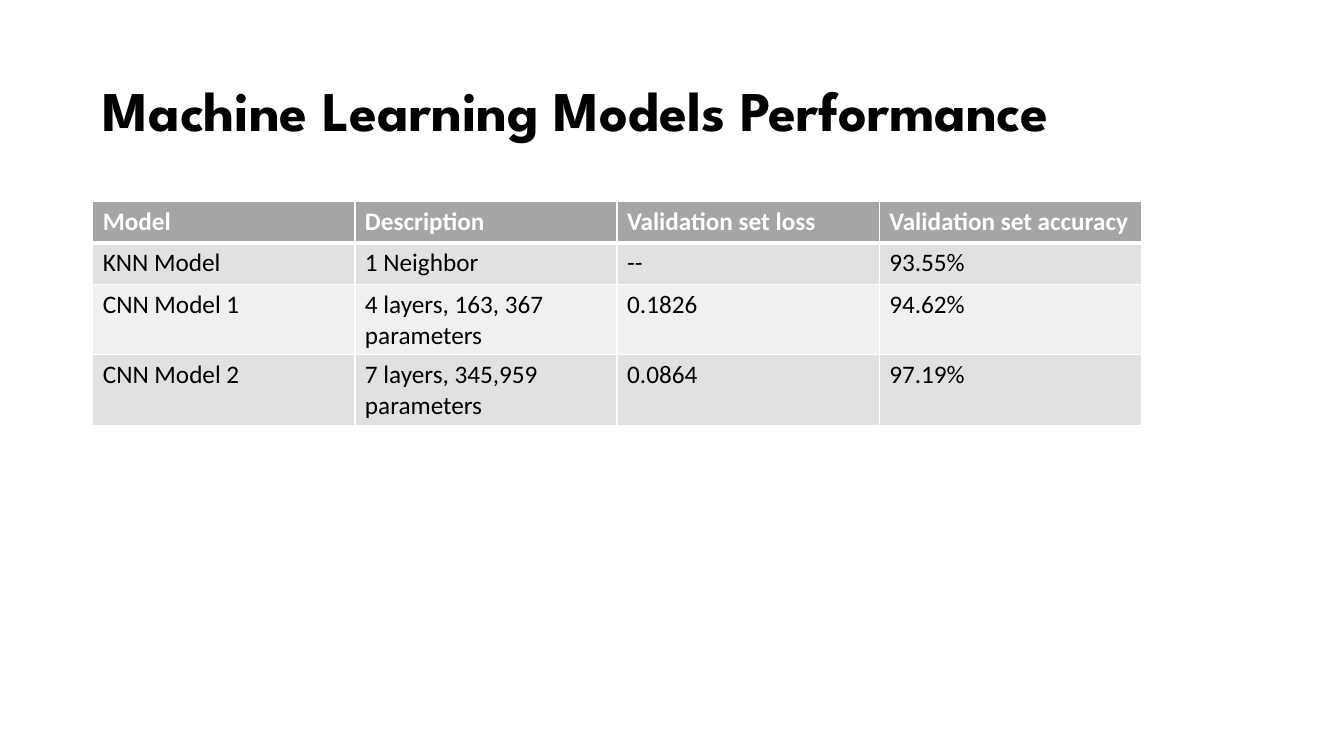
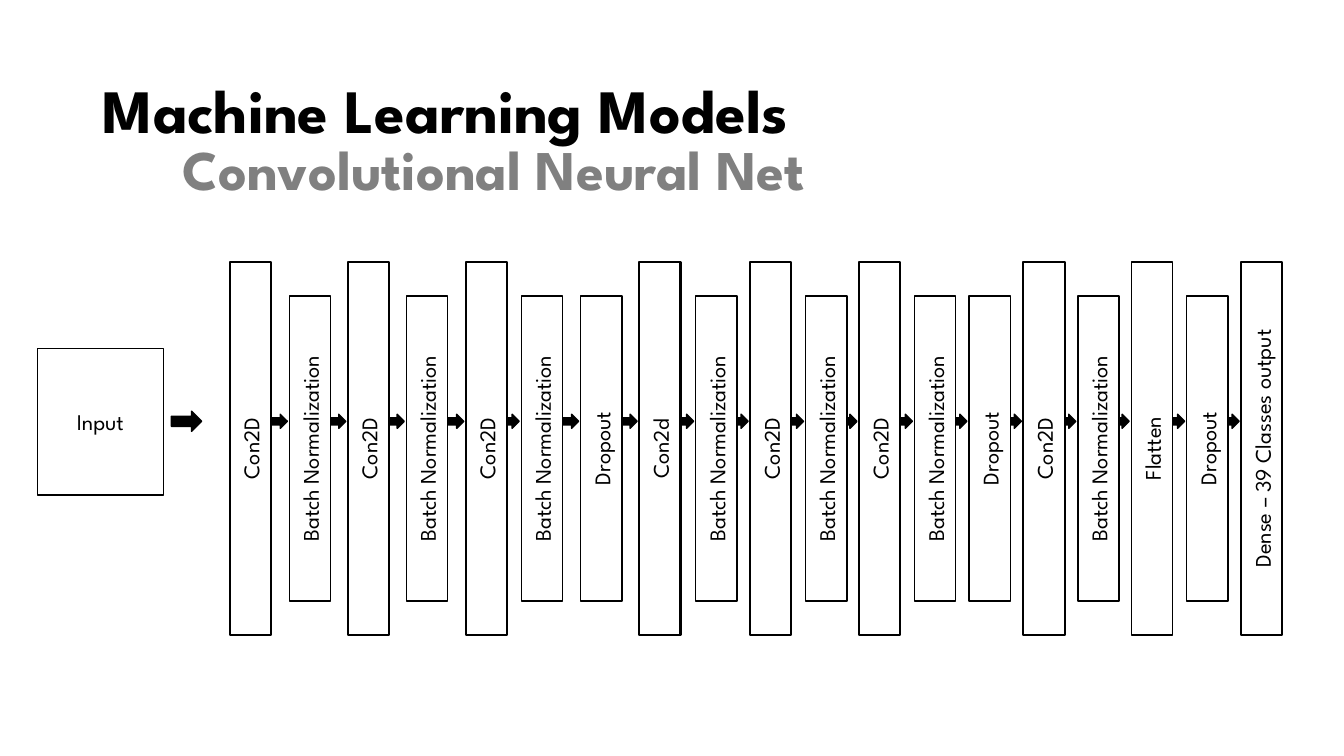
"""Build two slides on machine learning models: a results table and a network diagram."""
import pptx
import pptx.dml.color
import pptx.enum.shapes
import pptx.enum.text
import pptx.oxml
import pptx.oxml.ns
import pptx.util

Inches = pptx.util.Inches
Pt = pptx.util.Pt
SHAPES = pptx.enum.shapes.MSO_SHAPE
ANCHOR = pptx.enum.text.MSO_ANCHOR
ALIGN = pptx.enum.text.PP_ALIGN

BLACK, WHITE, GRAY = "000000", "FFFFFF", "808080"
HEADER_FILL, ROW_FILLS = "A5A5A5", ["E1E1E1", "F0F0F0"]
DISPLAY_FONT, TABLE_FONT = "League Spartan", "Calibri"


def color(value):
    return pptx.dml.color.RGBColor.from_string(value)


def write(frame, text, size=16, font=DISPLAY_FONT, ink=BLACK, bold=False,
          align=ALIGN.LEFT, anchor=ANCHOR.TOP, wrap=True, spacing=None):
    frame.word_wrap = wrap
    frame.vertical_anchor = anchor
    para = frame.paragraphs[0]
    para.alignment = align
    para.line_spacing = spacing
    span = para.add_run()
    span.text = text
    span.font.size = Pt(size)
    span.font.name = font
    span.font.bold = bold
    span.font.color.rgb = color(ink)


deck = pptx.Presentation()
deck.slide_width = Inches(13.33)
deck.slide_height = Inches(7.5)

pages = []
for title, size in [("Machine Learning Models Performance", 40), ("Machine Learning Models", 44)]:
    page = deck.slides.add_slide(deck.slide_layouts[6])
    box = page.shapes.add_textbox(Inches(0.92), Inches(0.4), Inches(11.5), Inches(1.45))
    write(box.text_frame, title, size=size, bold=True, anchor=ANCHOR.MIDDLE, spacing=0.9)
    pages.append(page)
results_page, network_page = pages

results = [
    ["Model", "Description", "Validation set loss", "Validation set accuracy"],
    ["KNN Model", "1 Neighbor", "--", "93.55%"],
    ["CNN Model 1", "4 layers, 163, 367 parameters", "0.1826", "94.62%"],
    ["CNN Model 2", "7 layers, 345,959 parameters", "0.0864", "97.19%"],
]
row_heights = [0.41, 0.41, 0.7, 0.7]
table = results_page.shapes.add_table(
    len(results), len(results[0]), Inches(0.92), Inches(2),
    Inches(10.4), Inches(sum(row_heights))).table
for row_index, values in enumerate(results):
    table.rows[row_index].height = Inches(row_heights[row_index])
    header = row_index == 0
    for column_index, value in enumerate(values):
        cell = table.cell(row_index, column_index)
        properties = cell._tc.get_or_add_tcPr()
        for side in ["lnL", "lnR", "lnT", "lnB"]:
            under_header = (row_index, side) in [(0, "lnB"), (1, "lnT")]
            properties.append(pptx.oxml.parse_xml(
                f'<a:{side} {pptx.oxml.ns.nsdecls("a")} w="{Pt(3 if under_header else 1)}">'
                f'<a:solidFill><a:srgbClr val="{WHITE}"/></a:solidFill></a:{side}>'))
        cell.fill.solid()
        cell.fill.fore_color.rgb = color(HEADER_FILL if header else ROW_FILLS[(row_index - 1) % 2])
        write(cell.text_frame, value, size=18, font=TABLE_FONT,
              ink=WHITE if header else BLACK, bold=header)

CONV, NORM, DROP = "Con2D", "Batch Normalization", "Dropout"
layers = [
    (2.28, CONV), (2.87, NORM), (3.45, CONV), (4.03, NORM), (4.62, CONV), (5.17, NORM),
    (5.76, DROP), (6.34, "Con2d"), (6.9, NORM), (7.44, CONV), (7.99, NORM), (8.52, CONV),
    (9.07, NORM), (9.61, DROP), (10.15, CONV), (10.69, NORM), (11.22, "Flatten"),
    (11.77, DROP), (12.31, "Dense – 39 Classes output"),
]
BAR_WIDTH, BAR_CENTER = 0.41, 4.45
ARROW_WIDTH, ARROW_GAP = 0.2, 0.02

parts = [(SHAPES.RIGHT_ARROW, left - ARROW_WIDTH - ARROW_GAP, 4.11, ARROW_WIDTH, 0.14, 1, "")
         for left, name in layers[1:]]
parts.append((SHAPES.RECTANGLE, 0.37, 3.46, 1.25, 1.45, 1, "Input"))
parts.append((SHAPES.RIGHT_ARROW, 1.7, 4.08, 0.3, 0.2, 1, ""))
for left, name in layers:
    height = 3.03 if name in (NORM, DROP) else 3.7
    weight = 1 if name in (NORM, DROP, "Flatten") else 1.5
    parts.append((SHAPES.RECTANGLE, left, BAR_CENTER - height / 2, BAR_WIDTH, height, weight, name))

for kind, left, top, width, height, weight, label in parts:
    shape = network_page.shapes.add_shape(
        kind, Inches(left), Inches(top), Inches(width), Inches(height))
    shape.shadow.inherit = False
    shape.fill.solid()
    shape.fill.fore_color.rgb = color(WHITE if label else BLACK)
    shape.line.color.rgb = color(BLACK)
    shape.line.width = Pt(weight)
    if label:
        write(shape.text_frame, label, align=ALIGN.CENTER, anchor=ANCHOR.MIDDLE)
    if width == BAR_WIDTH:
        shape.text_frame._txBody.bodyPr.set("vert", "vert270")

subtitle = network_page.shapes.add_textbox(Inches(1.71), Inches(1.29), Inches(7.04), Inches(0.77))
write(subtitle.text_frame, "Convolutional Neural Net", size=40, ink=GRAY, bold=True, wrap=False)

deck.save("out.pptx")
